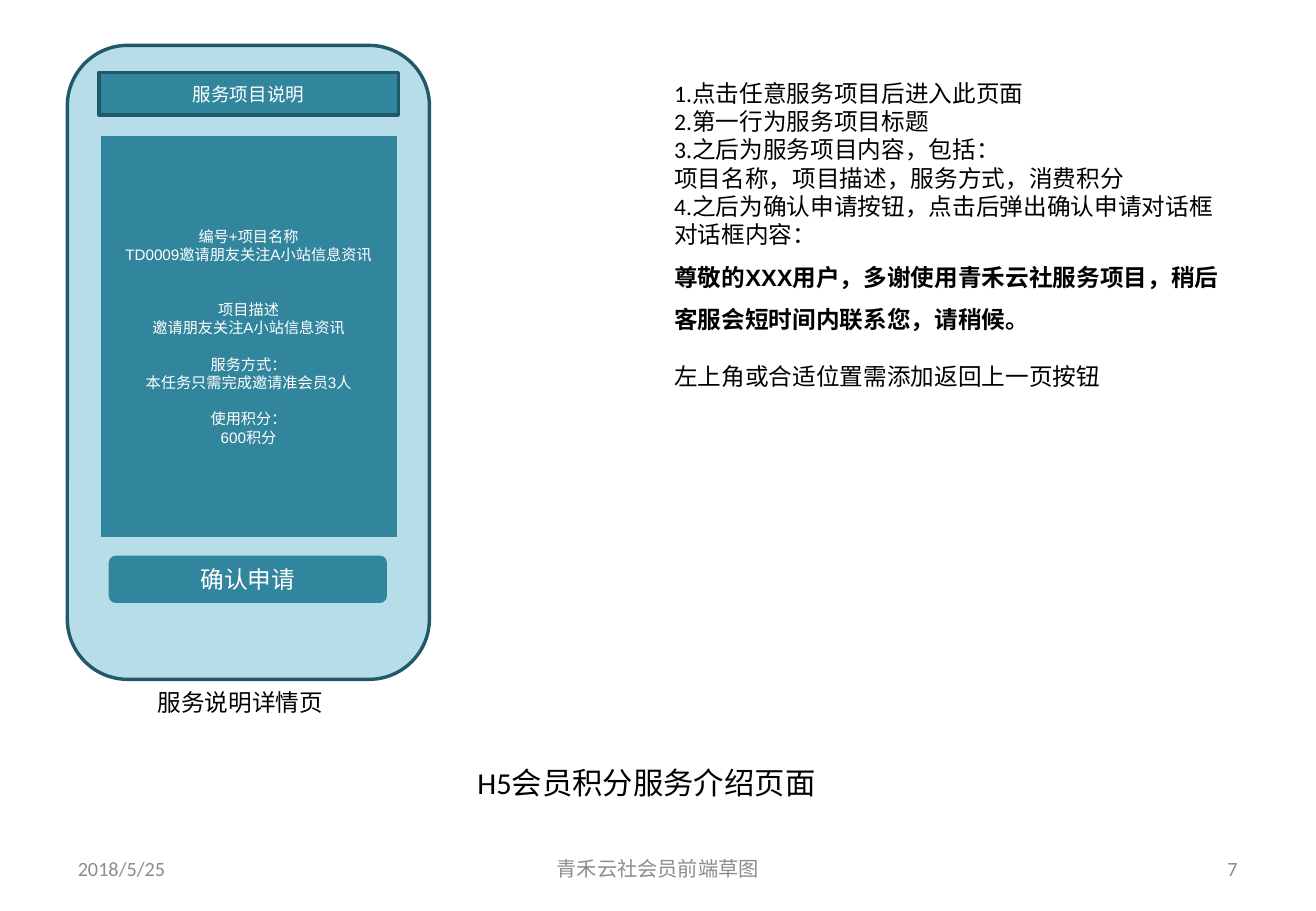
from dataclasses import dataclass

from lxml import etree
from pptx import Presentation
from pptx.dml.color import RGBColor
from pptx.enum.shapes import MSO_SHAPE
from pptx.enum.text import MSO_ANCHOR, MSO_AUTO_SIZE, PP_ALIGN
from pptx.oxml.ns import qn
from pptx.util import Pt

RECT, ROUND = MSO_SHAPE.RECTANGLE, MSO_SHAPE.ROUNDED_RECTANGLE
LEFT, CENTER, RIGHT = PP_ALIGN.LEFT, PP_ALIGN.CENTER, PP_ALIGN.RIGHT
TOP, MIDDLE = MSO_ANCHOR.TOP, MSO_ANCHOR.MIDDLE
NO_FIT = MSO_AUTO_SIZE.NONE


@dataclass(frozen=True)
class Theme:
    pale: RGBColor = RGBColor(0xB7, 0xDE, 0xE8)
    teal: RGBColor = RGBColor(0x31, 0x85, 0x9C)
    dark: RGBColor = RGBColor(0x21, 0x59, 0x68)
    white: RGBColor = RGBColor(0xFF, 0xFF, 0xFF)
    black: RGBColor = RGBColor(0, 0, 0)
    grey: RGBColor = RGBColor(0x8C, 0x8C, 0x8C)
    font: str = "Calibri"
    alt_font: str = "Arial"
    title: int = 18
    body: int = 14
    footer: int = 12
    header: int = 11
    detail: int = 9


T = Theme()

# Each paragraph: text, space before in points
DETAILS = [
    ("编号+项目名称", 0),
    ("TD0009邀请朋友关注A小站信息资讯", 0),
    ("项目描述", 21.6),
    ("邀请朋友关注A小站信息资讯", 0),
    ("服务方式：", 10.8),
    ("本任务只需完成邀请准会员3人", 0),
    ("使用积分：", 10.8),
    ("600积分", 0),
]
NOTES = [
    ("1.点击任意服务项目后进入此页面", 0),
    ("2.第一行为服务项目标题", 0),
    ("3.之后为服务项目内容，包括：", 0),
    ("项目名称，项目描述，服务方式，消费积分", 0),
    ("4.之后为确认申请按钮，点击后弹出确认申请对话框", 0),
    ("对话框内容：", 0),
    ("尊敬的XXX用户，多谢使用青禾云社服务项目，稍后客服会短时间内联系您，请稍候。", 0),
    ("左上角或合适位置需添加返回上一页按钮", 17),
]
DIALOG = 6  # index of the dialog message in NOTES
FOOTERS = [
    ("2018/5/25", 39, 182, LEFT),
    ("青禾云社会员前端草图", 266.4, 247, CENTER),
    ("7", 558.7, 182, RIGHT),
]


def apply(obj, formats):
    for name, value in formats.items():
        setattr(obj, name, value)


def write(sp, paragraphs, size, color, align=LEFT, anchor=TOP, font=T.font):
    tf = sp.text_frame
    apply(tf, {"word_wrap": True, "auto_size": NO_FIT, "vertical_anchor": anchor})
    for i, (text, before) in enumerate(paragraphs):
        p = tf.add_paragraph() if i else tf.paragraphs[0]
        apply(p, {"alignment": align, "line_spacing": 1.0, "space_before": Pt(before)})
        r = p.add_run()
        r.text = text
        apply(r.font, {"name": font, "size": Pt(size), "bold": False})
        r.font.color.rgb = color


def place(sp, box):
    apply(sp, dict(zip(("left", "top", "width", "height"), map(Pt, box))))


def add_block(shapes, kind, box, fill, line):
    sp = shapes.add_shape(kind, *map(Pt, box))
    sp.shadow.inherit = False
    sp.fill.solid()
    sp.fill.fore_color.rgb = fill
    sp.line.color.rgb = line
    sp.line.width = Pt(2)
    return sp


def add_text(shapes, box, text, size, color, align, anchor=TOP):
    write(shapes.add_textbox(*map(Pt, box)), [(text, 0)], size, color, align, anchor)


def add_phone(s):
    shapes = s.shapes.add_group_shape().shapes
    add_block(shapes, ROUND, (39.9, 26.9, 214.6, 375.8), T.pale, T.dark)
    header = add_block(shapes, RECT, (58.6, 42.9, 177.5, 25.2), T.teal, T.dark)
    write(header, [("服务项目说明", 0)], T.header, T.white, CENTER, MIDDLE)
    panel = add_block(shapes, RECT, (58.6, 79.9, 177.5, 239.3), T.teal, T.pale)
    write(panel, DETAILS, T.detail, T.white, CENTER, MIDDLE, T.alt_font)
    button = add_block(shapes, ROUND, (63.4, 328.3, 167, 30.2), T.teal, T.pale)
    write(button, [("确认申请", 0)], T.body, T.white, CENTER, MIDDLE)
    add_text(shapes, (54, 404.3, 177.1, 24.5), "服务说明详情页", T.body, T.black, CENTER)


def fill_notes(sp):
    place(sp, (392.4, 42.9, 343.4, 193.7))
    write(sp, NOTES, T.body, T.black)
    for p in sp.text_frame.paragraphs:
        pPr = p._p.get_or_add_pPr()
        for name in ("marL", "indent"):
            pPr.set(name, "0")
        etree.SubElement(pPr, qn("a:buNone"))
    dialog = sp.text_frame.paragraphs[DIALOG]
    dialog.line_spacing = 1.5
    apply(dialog.runs[0].font, {"name": T.alt_font, "bold": True})


def main():
    prs = Presentation()
    prs.slide_width, prs.slide_height = Pt(780), Pt(540)
    s = prs.slides.add_slide(prs.slide_layouts[1])
    title, notes = s.placeholders
    place(title, (275.8, 449.3, 233.3, 28.8))
    write(title, [("H5会员积分服务介绍页面", 0)], T.title, T.black)
    fill_notes(notes)
    add_phone(s)
    for text, left, width, align in FOOTERS:
        add_text(s.shapes, (left, 500.4, width, 28.8), text, T.footer, T.grey, align, MIDDLE)
    prs.save("out.pptx")


if __name__ == "__main__":
    main()
